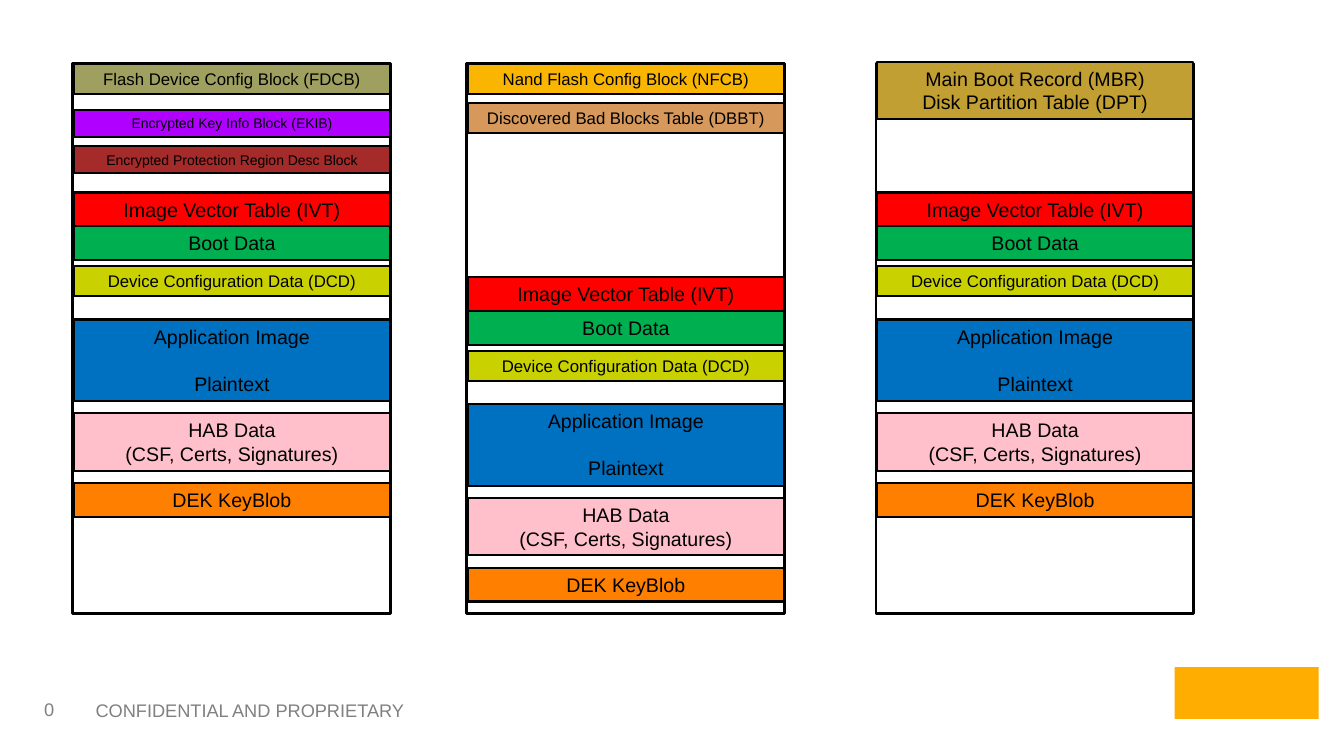
from lxml import etree
from pptx import Presentation
from pptx.dml.color import RGBColor
from pptx.enum.shapes import MSO_SHAPE
from pptx.enum.text import MSO_ANCHOR, MSO_AUTO_SIZE, PP_ALIGN
from pptx.oxml.ns import qn
from pptx.util import Pt

RECTANGLE = MSO_SHAPE.RECTANGLE
TOP, MIDDLE = MSO_ANCHOR.TOP, MSO_ANCHOR.MIDDLE
GROW = MSO_AUTO_SIZE.SHAPE_TO_FIT_TEXT
CENTER = PP_ALIGN.CENTER

BLACK = RGBColor(0x00, 0x00, 0x00)
GRAY = RGBColor(0x80, 0x80, 0x80)
OLIVE = RGBColor(0x9F, 0x9F, 0x5F)
PURPLE = RGBColor(0xB0, 0x00, 0xFF)
BROWN = RGBColor(0xA5, 0x2A, 0x2A)
AMBER = RGBColor(0xF9, 0xB5, 0x00)
COPPER = RGBColor(0xCC, 0x7F, 0x32)
GOLD = RGBColor(0xC1, 0x9F, 0x32)
RED = RGBColor(0xFF, 0x00, 0x00)
GREEN = RGBColor(0x00, 0xB0, 0x50)
LIME = RGBColor(0xC9, 0xD2, 0x00)
BLUE = RGBColor(0x00, 0x70, 0xC0)
PINK = RGBColor(0xFF, 0xC0, 0xCB)
ORANGE = RGBColor(0xFF, 0x7F, 0x00)
LOGO_ORANGE = RGBColor(0xFF, 0xAD, 0x00)

COLUMN_TOP, COLUMN_WIDTH, COLUMN_HEIGHT = 45.4, 226.8, 393.1
BLOCK_INSET, BLOCK_WIDTH = 0.7, 226
LINE_HEIGHT = 16.8


def format_text(paragraph, size, color):
    for run in paragraph.runs:
        run.font.name = "Arial"
        run.font.size = Pt(size)
        run.font.color.rgb = color


def add_block(column_left, top, height, color, size, text, line_gap=0):
    block = slide.shapes.add_shape(
        RECTANGLE, Pt(column_left + BLOCK_INSET), Pt(top), Pt(BLOCK_WIDTH), Pt(height))
    block.shadow.inherit = False
    block.fill.solid()
    block.fill.fore_color.rgb = color
    block.line.color.rgb = BLACK
    block.line.width = Pt(1.5)
    text_frame = block.text_frame
    text_frame.text = text
    text_frame.word_wrap = True
    text_frame.auto_size = GROW
    text_frame.vertical_anchor = TOP
    for index, paragraph in enumerate(text_frame.paragraphs):
        paragraph.alignment = CENTER
        if index:
            paragraph.space_before = Pt(line_gap)
        format_text(paragraph, size, BLACK)
    return block


presentation = Presentation()
presentation.slide_width = Pt(960)
presentation.slide_height = Pt(540)
slide = presentation.slides.add_slide(presentation.slide_layouts[6])

# Memory layouts: column left, top of the boot image, blocks above it
# Block: top, height, color, font size, text
layouts = [
    (52, 137.5, [
        (45.4, 21.6, OLIVE, 12, "Flash Device Config Block (FDCB)"),
        (78.5, 19.4, PURPLE, 10, "Encrypted Key Info Block (EKIB)"),
        (104.4, 19.4, BROWN, 10, "Encrypted Protection Region Desc Block"),
    ]),
    (333.4, 198, [
        (45.4, 21.6, AMBER, 12, "Nand Flash Config Block (NFCB)"),
        (73.4, 21.6, COPPER, 12, "Discovered Bad Blocks Table (DBBT)"),
    ]),
    (625.7, 137.5, [
        (44.2, 41, GOLD, 14, "Main Boot Record (MBR)\nDisk Partition Table (DPT)"),
    ]),
]

# Boot image shared by all layouts: offset, height, color, font size, text, line gap
boot_image = [
    (0, 24.3, RED, 14, "Image Vector Table (IVT)", 0),
    (24.2, 24.3, GREEN, 14, "Boot Data", 0),
    (52.6, 21.6, LIME, 12, "Device Configuration Data (DCD)", 0),
    (90.7, 58.3, BLUE, 14, "Application Image\nPlaintext", LINE_HEIGHT),
    (157.7, 41, PINK, 14, "HAB Data\n(CSF, Certs, Signatures)", 0),
    (207.4, 24.3, ORANGE, 14, "DEK KeyBlob", 0),
]

for left, image_top, header_blocks in layouts:
    # Column outline
    outline = slide.shapes.add_shape(
        RECTANGLE, Pt(left), Pt(COLUMN_TOP), Pt(COLUMN_WIDTH), Pt(COLUMN_HEIGHT))
    outline.shadow.inherit = False
    outline.fill.background()
    outline.line.color.rgb = BLACK
    outline.line.width = Pt(2)

    for offset, *block_format in boot_image:
        add_block(left, image_top + offset, *block_format)

    for header in header_blocks:
        block = add_block(left, *header)
        if header[2] == COPPER:
            # Bad blocks table is 80% opaque
            color_element = block.fill._xPr.find(qn("a:solidFill"))[0]
            etree.SubElement(color_element, qn("a:alpha"), val="80000")

# Footer: left, width, height, text, anchor
for left, width, height, text, anchor in [
    (26.6, 46.8, 21.6, "0", MIDDLE),
    (61.2, 286.6, 24.5, "CONFIDENTIAL AND PROPRIETARY", TOP),
]:
    footer = slide.shapes.add_textbox(Pt(left), Pt(496), Pt(width), Pt(height))
    text_frame = footer.text_frame
    text_frame.text = text
    text_frame.word_wrap = True
    text_frame.vertical_anchor = anchor
    text_frame.margin_left = Pt(5 if anchor == MIDDLE else 7.2)
    format_text(text_frame.paragraphs[0], 13, GRAY)

# Plain block in the logo position
logo_block = slide.shapes.add_shape(RECTANGLE, Pt(839), Pt(476.6), Pt(103), Pt(37))
logo_block.shadow.inherit = False
logo_block.fill.solid()
logo_block.fill.fore_color.rgb = LOGO_ORANGE
logo_block.line.fill.background()

presentation.save("out.pptx")
